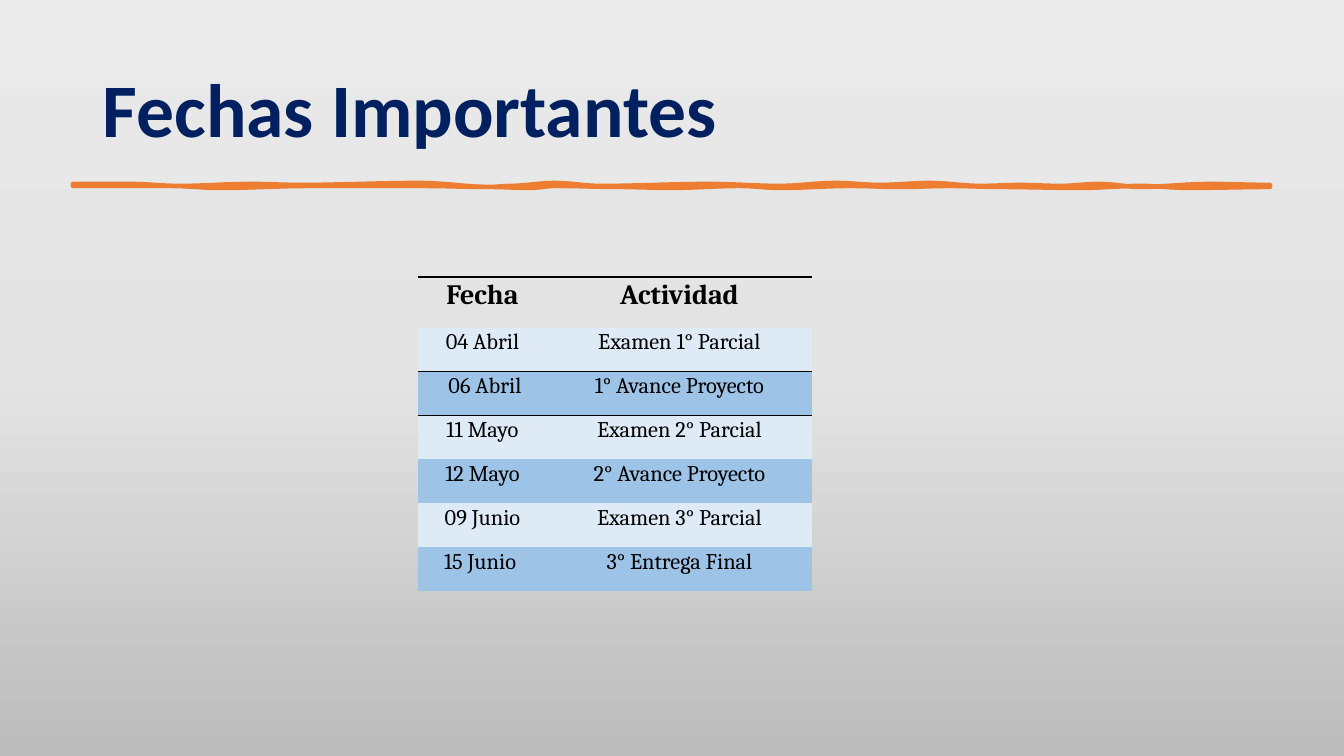
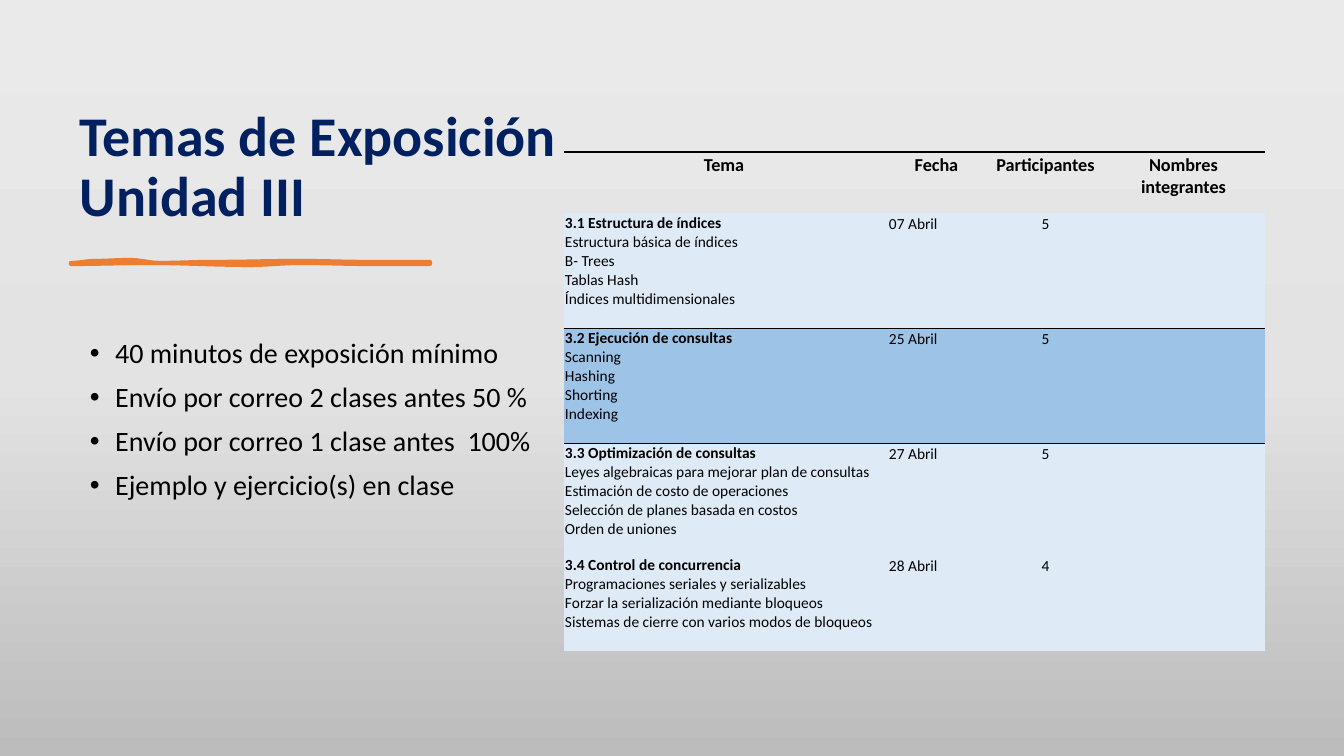
from copy import deepcopy
from itertools import pairwise
from math import cos, pi

from lxml import etree
from pptx import Presentation
from pptx import util as u
from pptx.dml.color import RGBColor
from pptx.enum import text
from pptx.oxml import ns

EMU_PER_PX = 12192000 / 1344
COLORS = {
    "title": "002060",
    "text": "000000",
    "accent": "ED7D31",
    "light": "DEEBF7",
    "dark": "9DC3E6",
    "bg_top": "EBEAEA",
    "bg_mid": "E4E3E3",
    "bg_bottom": "BDBCBC",
}
BODY_FONT = "Calibri"
DATES_FONT = "Cambria"
NO_STYLE = "{2D5ABB26-0587-4C30-8999-92F81FD0307C}"
RULES = {0: 2.25, 2: 0.5}
CELL_INSETS = (0, 2, 5, 15)
TOPIC_INSETS = (1, 1, 1, 0)
LEFT, CENTER = text.PP_ALIGN.LEFT, text.PP_ALIGN.CENTER

WIDE_TOP = [
    (73, 184), (130, 184), (180, 186), (250, 184), (300, 185), (420, 183),
    (490, 187), (510, 186), (555, 183), (600, 186), (710, 184), (780, 186),
    (835, 183), (880, 185), (930, 183), (980, 186), (1020, 185), (1060, 186),
    (1100, 184), (1140, 187), (1210, 184), (1270, 185),
]
WIDE_BOTTOM = [
    (73, 186), (170, 186), (220, 188), (310, 186), (420, 186), (490, 187),
    (530, 188), (555, 186), (620, 187), (670, 188), (740, 186), (780, 188),
    (850, 186), (900, 187), (950, 186), (1000, 187), (1080, 188), (1140, 186),
    (1190, 188), (1270, 187),
]
SHORT_TOP = [
    (71, 263), (95, 261), (130, 260), (160, 263), (210, 262), (300, 261),
    (370, 262), (430, 262),
]
SHORT_BOTTOM = [
    (71, 264), (150, 263), (250, 265), (300, 263), (370, 264), (430, 264),
]

DATES = [
    ["Fecha", "Actividad"],
    ["04 Abril", "Examen 1° Parcial"],
    [" 06 Abril", "1° Avance Proyecto"],
    ["11 Mayo", "Examen 2° Parcial"],
    ["12 Mayo", "2° Avance Proyecto"],
    ["09 Junio", "Examen 3° Parcial"],
    ["15 Junio ", "3° Entrega Final"],
]
GUIDELINES = [
    "40 minutos de exposición mínimo",
    "Envío por correo 2 clases antes 50 %",
    "Envío por correo 1 clase antes  100%",
    "Ejemplo y ejercicio(s) en clase",
]
TOPICS = [
    ["Tema", "Fecha", "Participantes", "Nombres integrantes"],
    [["3.1 Estructura de índices", "Estructura básica de índices", "B- Trees",
      "Tablas Hash", "Índices multidimensionales"], "07 Abril", "5", ""],
    [["3.2 Ejecución de consultas", "Scanning", "Hashing", "Shorting",
      "Indexing"], "25 Abril", "5", ""],
    [["3.3 Optimización de consultas",
      "Leyes algebraicas para mejorar plan de consultas",
      "Estimación de costo de operaciones",
      "Selección de planes basada en costos", "Orden de uniones"],
     "27 Abril", "5", ""],
    [["3.4 Control de concurrencia",
      "Programaciones seriales y serializables",
      "Forzar la serialización mediante bloqueos",
      "Sistemas de cierre con varios modos de bloqueos"],
     "28 Abril", "4", ""],
]


def px(n):
    return u.Emu(round(n * EMU_PER_PX))


def rgb(name):
    return RGBColor.from_string(COLORS[name])


def set_background(master):
    fill = master.background.fill
    fill.gradient()
    fill.gradient_angle = 270
    stops = master.element.xpath(".//p:bg//a:gsLst")[0]
    stops.append(deepcopy(stops[0]))
    names = ("bg_top", "bg_mid", "bg_bottom")
    for i, (stop, name) in enumerate(zip(fill.gradient_stops, names)):
        stop.color.rgb = rgb(name)
        stop.position = i / 2


def add_run(p, words, size, color="text", bold=False, font=BODY_FONT):
    r = p.add_run()
    r.text = words
    r.font.name = font
    r.font.size = u.Pt(size)
    r.font.bold = bold
    r.font.color.rgb = rgb(color)


def add_box(s, box, anchor):
    tf = s.shapes.add_textbox(*map(px, box)).text_frame
    tf.word_wrap = True
    tf.vertical_anchor = anchor
    return tf


def add_title(s, words, box, size, anchor):
    p = add_box(s, box, anchor).paragraphs[0]
    p.line_spacing = 0.9
    add_run(p, words, size, "title", True)


def add_bullets(s, items, box, size):
    tf = add_box(s, box, text.MSO_ANCHOR.TOP)
    for i, item in enumerate(items):
        p = tf.add_paragraph() if i else tf.paragraphs[0]
        pPr = p._p.get_or_add_pPr()
        pPr.set("marL", str(u.Inches(0.25)))
        pPr.set("indent", str(-u.Inches(0.25)))
        etree.SubElement(pPr, ns.qn("a:buFont"), typeface="Arial")
        etree.SubElement(pPr, ns.qn("a:buChar"), char="•")
        p.line_spacing = 0.9
        if i:
            p.space_before = u.Pt(10)
        add_run(p, item, size)


def wave(knots, steps=6):
    points = [
        (px(x0 + (x1 - x0) * k / steps),
         px(y0 + (y1 - y0) * (1 - cos(pi * k / steps)) / 2))
        for (x0, y0), (x1, y1) in pairwise(knots)
        for k in range(steps)
    ]
    return points + [tuple(map(px, knots[-1]))]


def add_brush(s, top, bottom, pen):
    points = wave(top) + wave(bottom)[::-1]
    fb = s.shapes.build_freeform(*points[0])
    fb.add_line_segments(points[1:])
    sp = fb.convert_to_shape()
    sp.shadow.inherit = False
    sp.fill.solid()
    sp.fill.fore_color.rgb = rgb("accent")
    sp.line.color.rgb = rgb("accent")
    sp.line.width = u.Pt(pen)


def add_top_border(cell, width):
    ln = etree.Element(ns.qn("a:lnT"), w=str(u.Pt(width)))
    fill = etree.SubElement(ln, ns.qn("a:solidFill"))
    etree.SubElement(fill, ns.qn("a:srgbClr"), val=COLORS["text"])
    cell._tc.get_or_add_tcPr().insert(0, ln)


def fill_cell(cell, content, align, size, bold, font):
    is_topic = isinstance(content, list)
    insets = TOPIC_INSETS if is_topic else CELL_INSETS
    (cell.margin_left, cell.margin_top,
     cell.margin_right, cell.margin_bottom) = map(px, insets)
    tf = cell.text_frame
    for i, words in enumerate(content if is_topic else [content]):
        p = tf.add_paragraph() if i else tf.paragraphs[0]
        p.alignment = align
        if words:
            add_run(p, words, size, bold=bold or (is_topic and i == 0),
                    font=font)


def add_grid(s, at, cols, heights, rows, fills, aligns, sizes, font):
    frame = s.shapes.add_table(len(rows), len(cols), *map(
        px, (*at, sum(cols), sum(heights))))
    table = frame.table
    table.first_row = table.horz_banding = False
    table._tbl.tblPr.find(ns.qn("a:tableStyleId")).text = NO_STYLE
    for column, width in zip(table.columns, cols):
        column.width = px(width)
    for r, content in enumerate(rows):
        table.rows[r].height = px(heights[r])
        for c, words in enumerate(content):
            cell = table.cell(r, c)
            header = r == 0
            fill_cell(cell, words, CENTER if header else aligns[c],
                      sizes[0 if header else 1], header, font)
            if header:
                cell.fill.background()
            else:
                cell.fill.solid()
                cell.fill.fore_color.rgb = rgb(fills[r - 1])
            if r in RULES:
                add_top_border(cell, RULES[r])


def build_dates(s):
    add_title(s, "Fechas Importantes", (93, 40, 1159, 146), 54,
              text.MSO_ANCHOR.MIDDLE)
    add_brush(s, WIDE_TOP, WIDE_BOTTOM, 3.25)
    add_grid(s, (418, 277), [134, 260], [50] + [42] * 6, DATES,
             ["light", "dark"] * 3, [CENTER] * 2, (20, 16), DATES_FONT)


def build_topics(s):
    add_title(s, "Temas de Exposición Unidad III", (70, 71, 531, 163), 40,
              text.MSO_ANCHOR.BOTTOM)
    add_brush(s, SHORT_TOP, SHORT_BOTTOM, 3)
    add_bullets(s, GUIDELINES, (80, 334, 466, 318), 20)
    add_grid(s, (564, 152), [325, 100, 118, 158], [61, 115, 115, 112, 96],
             TOPICS, ["light", "dark", "light", "light"],
             [LEFT, LEFT, CENTER, CENTER], (13, 11), BODY_FONT)


def main():
    prs = Presentation()
    prs.slide_width, prs.slide_height = px(1344), px(756)
    set_background(prs.slide_master)
    for build in (build_dates, build_topics):
        build(prs.slides.add_slide(prs.slide_layouts[6]))
    prs.save("out.pptx")


if __name__ == "__main__":
    main()
